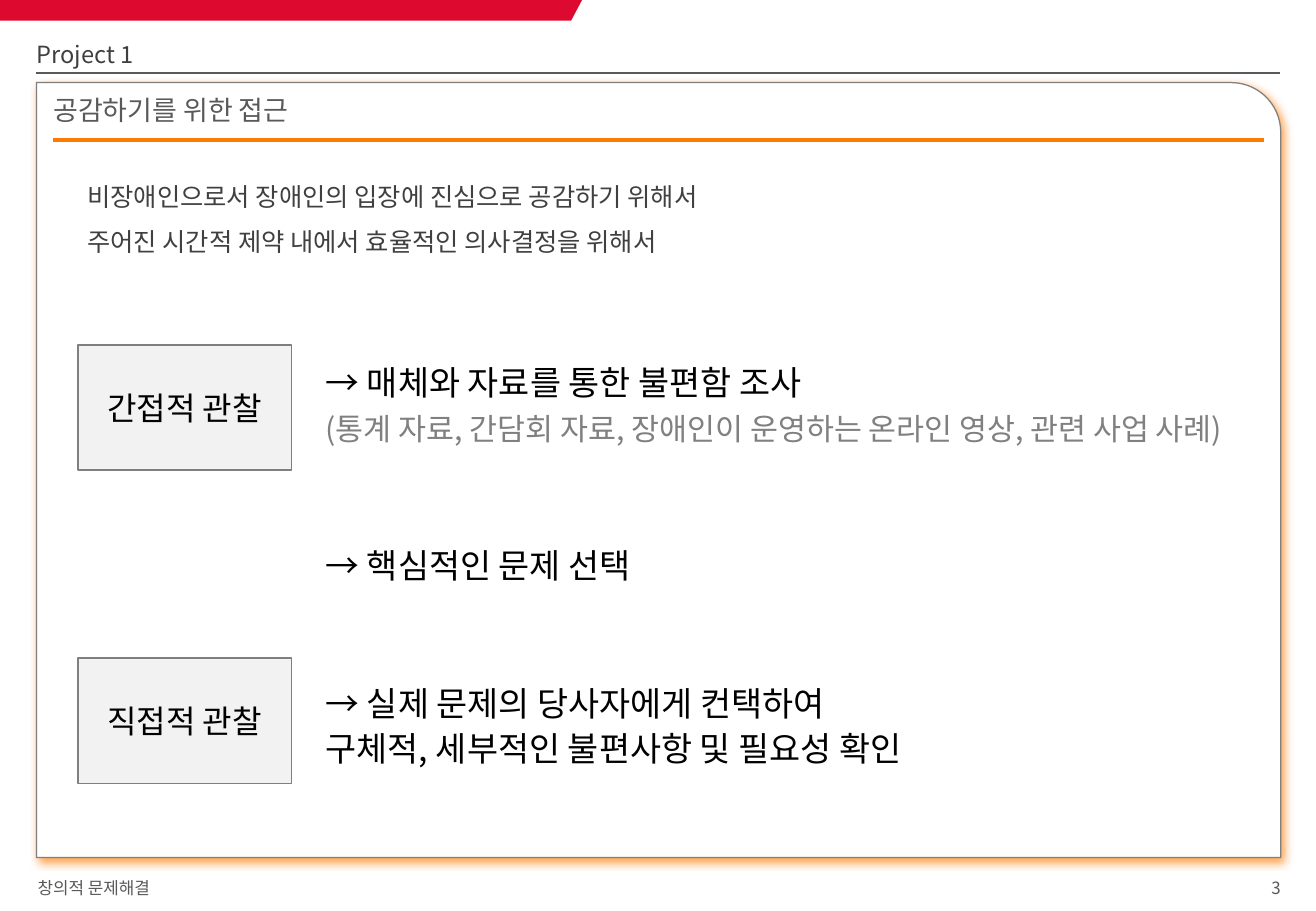
from dataclasses import dataclass

from lxml import etree
from pptx import Presentation
from pptx import util as u
from pptx.dml.color import RGBColor
from pptx.enum import shapes, text
from pptx.oxml.ns import qn

CELL = u.Inches(0.1)
COLUMNS, ROWS = 108.3, 75


@dataclass(frozen=True)
class Theme:
    font: str = "Noto Sans CJK KR"
    red: str = "DD092F"
    orange: str = "FF7A00"
    white: str = "FFFFFF"
    panel: str = "F2F2F2"
    border: str = "7F7F7F"
    muted: str = "595959"
    section: str = "3F3F3F"
    intro: str = "404040"
    detail: str = "808080"
    black: str = "000000"
    footer_size: float = 10
    section_size: float = 14
    intro_size: float = 15
    title_size: float = 16
    detail_size: float = 18
    label_size: float = 19
    step_size: float = 20


def cells(*lengths):
    return [round(length * CELL) for length in lengths]


def write(paragraph, content, *, font, size, color):
    run = paragraph.add_run()
    run.text = content
    run.font.size = u.Pt(size)
    run.font.name = font
    run.font.color.rgb = RGBColor.from_string(color)
    etree.SubElement(run.font._element, qn("a:ea"), typeface=font)


class Page:
    def __init__(self, slide, theme):
        self.slide = slide
        self.theme = theme

    def fill_frame(self, frame, paragraphs, *, size, color, align="LEFT", anchor="TOP",
                   insets=(0, 0.5, 0, 0.5), leading=None, gap=0):
        frame.word_wrap = True
        frame.vertical_anchor = text.MSO_ANCHOR[anchor]
        (frame.margin_left, frame.margin_top,
         frame.margin_right, frame.margin_bottom) = cells(*insets)
        for index, lines in enumerate(paragraphs):
            paragraph = frame.add_paragraph() if index else frame.paragraphs[0]
            paragraph.alignment = text.PP_ALIGN[align]
            if leading:
                paragraph.line_spacing = u.Pt(leading)
            if index:
                paragraph.space_before = u.Pt(gap)
            for position, (content, changes) in enumerate(lines):
                if position:
                    paragraph.add_line_break()
                style = {"font": self.theme.font, "size": size, "color": color, **changes}
                write(paragraph, content, **style)

    def text(self, area, paragraphs, **style):
        box = self.slide.shapes.add_textbox(*cells(*area))
        self.fill_frame(box.text_frame, paragraphs, **style)

    def paint(self, shape, fill, line=None, width=1):
        shape.shadow.inherit = False
        shape.fill.solid()
        shape.fill.fore_color.rgb = RGBColor.from_string(fill)
        if line:
            shape.line.color.rgb = RGBColor.from_string(line)
            shape.line.width = u.Pt(width)
        else:
            shape.line.fill.background()

    def ribbon(self, points, fill):
        corners = [cells(*point) for point in points]
        builder = self.slide.shapes.build_freeform(*corners[0])
        builder.add_line_segments(corners[1:], close=True)
        self.paint(builder.convert_to_shape(), fill)

    def rule(self, left, right, row, color, width):
        line = self.slide.shapes.add_connector(
            shapes.MSO_CONNECTOR.STRAIGHT, *cells(left, row, right, row))
        line.line.color.rgb = RGBColor.from_string(color)
        line.line.width = u.Pt(width)
        etree.SubElement(line._element.spPr, qn("a:effectLst"))

    def card(self, area, corner):
        card = self.slide.shapes.add_shape(
            shapes.MSO_SHAPE.ROUND_1_RECTANGLE, *cells(*area))
        card.adjustments[0] = corner
        self.paint(card, self.theme.white, self.theme.border, 0.75)
        effects = card._element.spPr.find(qn("a:effectLst"))
        glow = etree.SubElement(
            effects, qn("a:outerShdw"), blurRad=str(u.Pt(5)), dist=str(u.Pt(3)),
            dir=str(45 * 60000), algn="tl", rotWithShape="0")
        tint = etree.SubElement(glow, qn("a:srgbClr"), val=self.theme.orange)
        etree.SubElement(tint, qn("a:alpha"), val="69000")

    def label(self, area, content):
        label = self.slide.shapes.add_shape(shapes.MSO_SHAPE.RECTANGLE, *cells(*area))
        self.paint(label, self.theme.panel, self.theme.border)
        self.fill_frame(label.text_frame, [[(content, {})]], size=self.theme.label_size,
                        color=self.theme.black, align="CENTER", anchor="MIDDLE",
                        insets=(1, 0.5, 1, 0.5))


def main():
    deck = Presentation()
    deck.slide_width, deck.slide_height = cells(COLUMNS, ROWS)
    theme = Theme()
    page = Page(deck.slides.add_slide(deck.slide_layouts[6]), theme)

    page.ribbon([(0, 0), (47.9, 0), (47, 1.7), (0, 1.7)], theme.red)
    footer = {"size": theme.footer_size, "color": theme.muted, "anchor": "MIDDLE"}
    page.text((3.1, 71.7, 54.2, 2.7), [[("창의적 문제해결", {})]], **footer)
    page.text((79.4, 71.7, 26, 2.7), [[("3", {})]], align="RIGHT", **footer)

    page.rule(3, 105.3, 6, theme.muted, 1)
    page.card((3, 6.8, 102.4, 63.8), 0.064)
    page.rule(4.4, 104, 11.5, theme.orange, 2.25)
    page.text((3, 2.9, 85, 3.1), [[("Project 1", {})]], size=theme.section_size,
              color=theme.section, anchor="MIDDLE")
    page.text((4.4, 7.2, 99.6, 3.9), [[("공감하기를 위한 접근", {})]],
              size=theme.title_size, color=theme.muted)

    reasons = ["비장애인으로서 장애인의 입장에 진심으로 공감하기 위해서",
               "주어진 시간적 제약 내에서 효율적인 의사결정을 위해서"]
    page.text((6.2, 13.2, 58.6, 8.1), [[(reason, {})] for reason in reasons],
              size=theme.intro_size, color=theme.intro, insets=(1, 0.5, 1, 0.5),
              leading=26.7)

    detail = {"size": theme.detail_size, "color": theme.detail}
    steps = [
        [("→ 매체와 자료를 통한 불편함 조사", {}),
         ("(통계 자료, 간담회 자료, 장애인이 운영하는 온라인 영상, 관련 사업 사례)", detail)],
        [("→ 핵심적인 문제 선택", {})],
        [("→ 실제 문제의 당사자에게 컨택하여", {}),
         ("구체적, 세부적인 불편사항 및 필요성 확인", {})],
    ]
    page.text((26.8, 29.4, 75.1, 35.4), steps, size=theme.step_size, color=theme.black,
              insets=(0, 0, 1, 0.5), leading=26.5, gap=55.5)

    for index, method in enumerate(["간접적 관찰", "직접적 관찰"]):
        page.label((6.4, 28.4 + 25.8 * index, 17.6, 10.3), method)

    deck.save("out.pptx")


if __name__ == "__main__":
    main()
